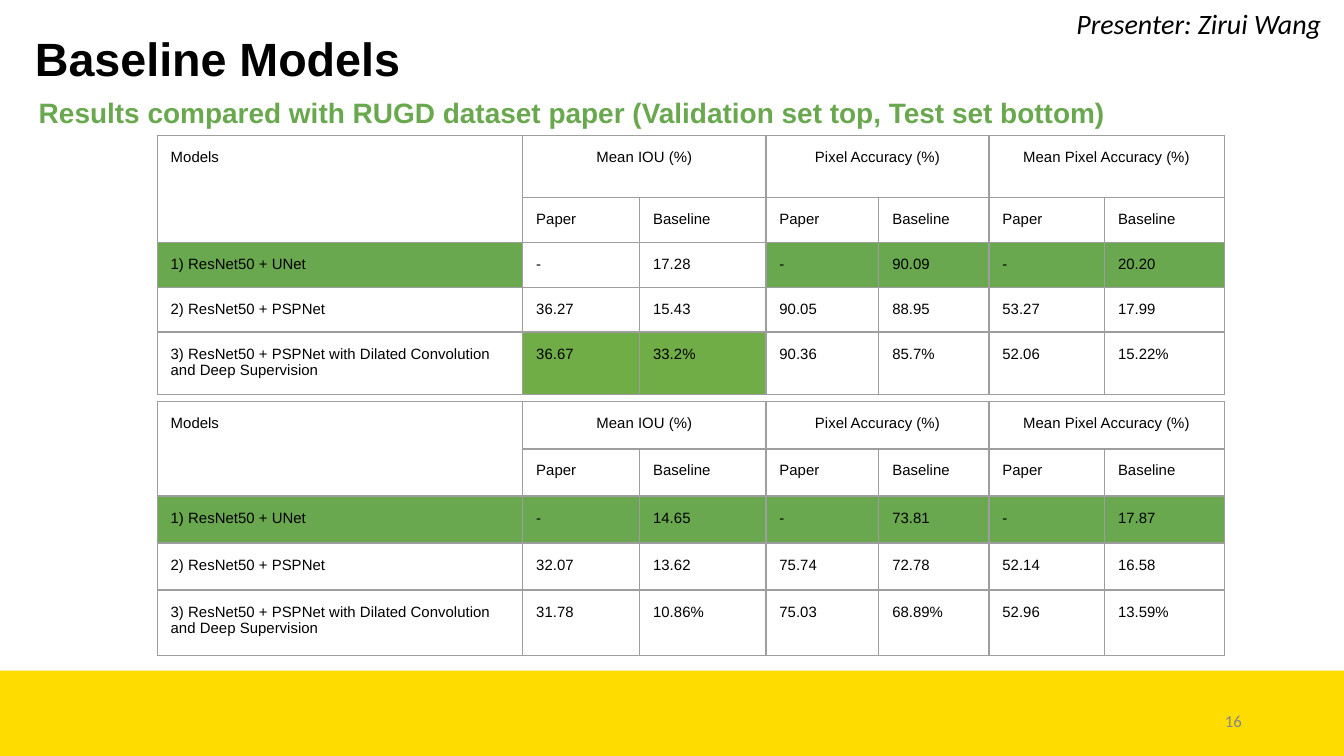
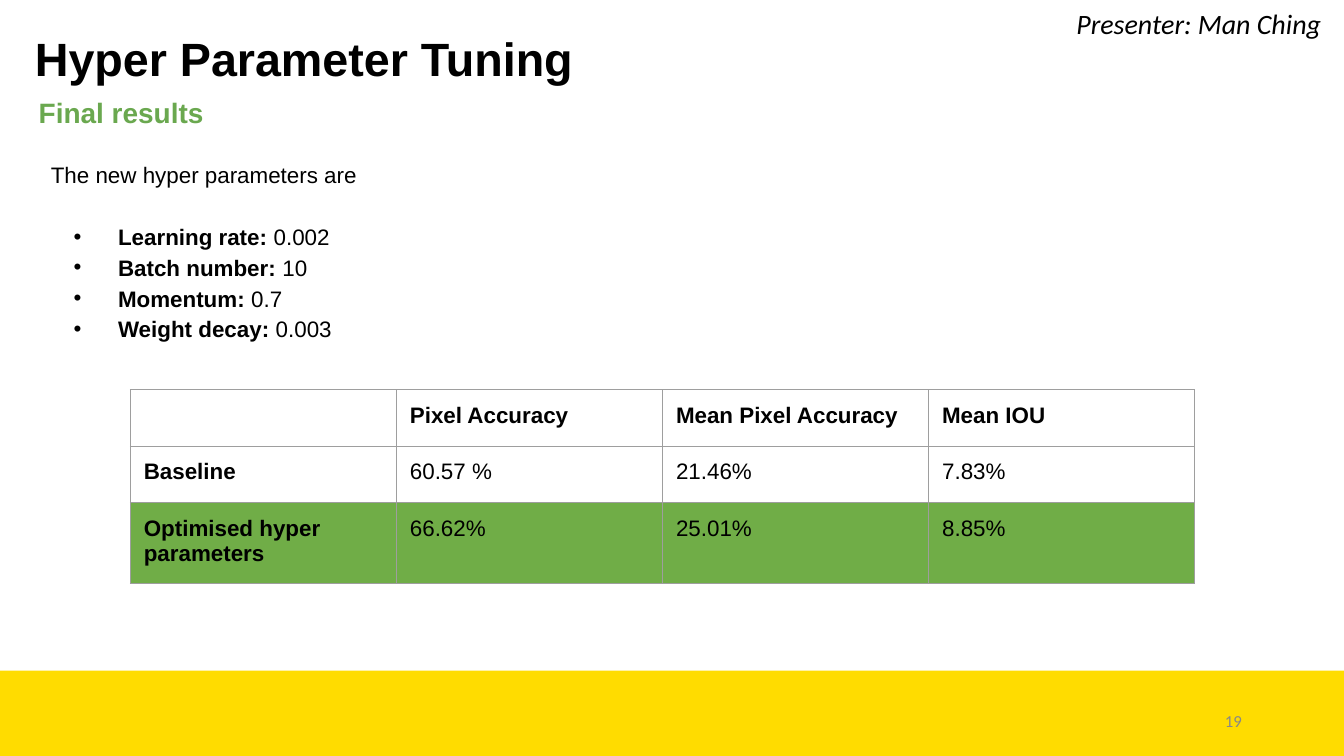
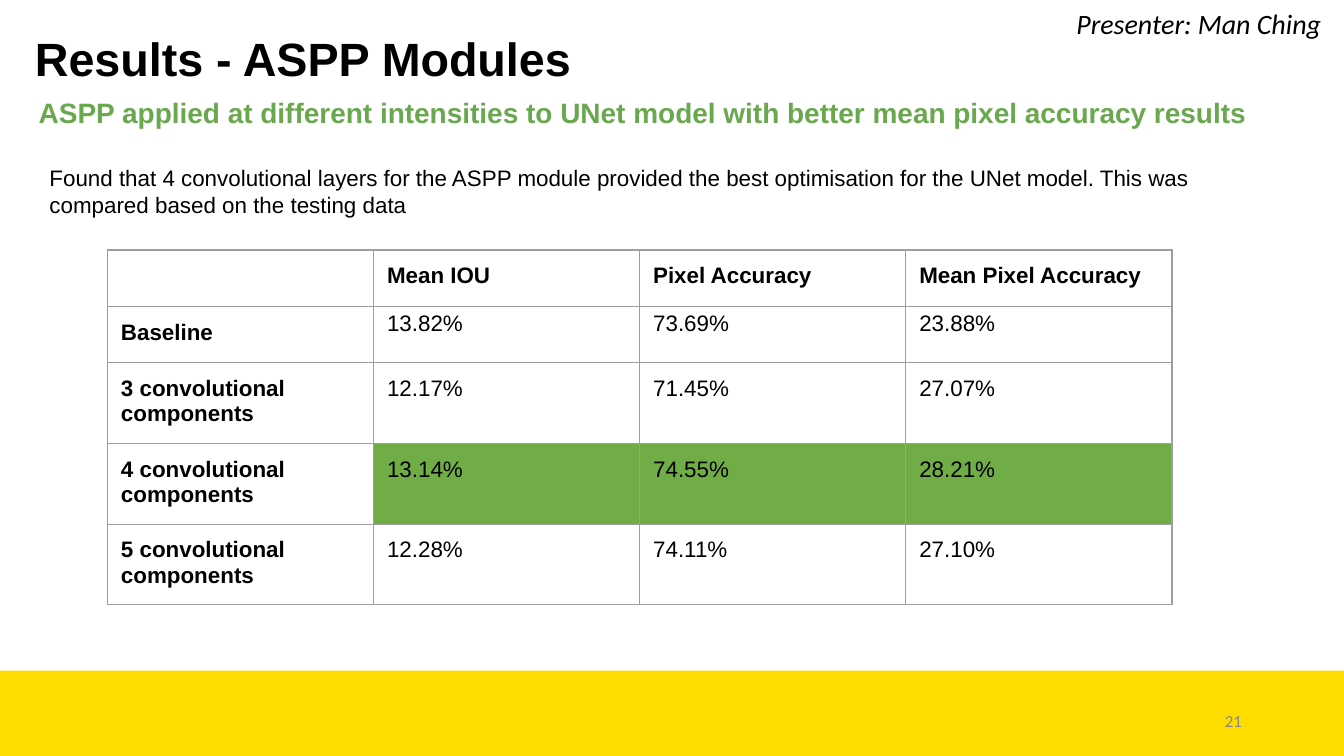
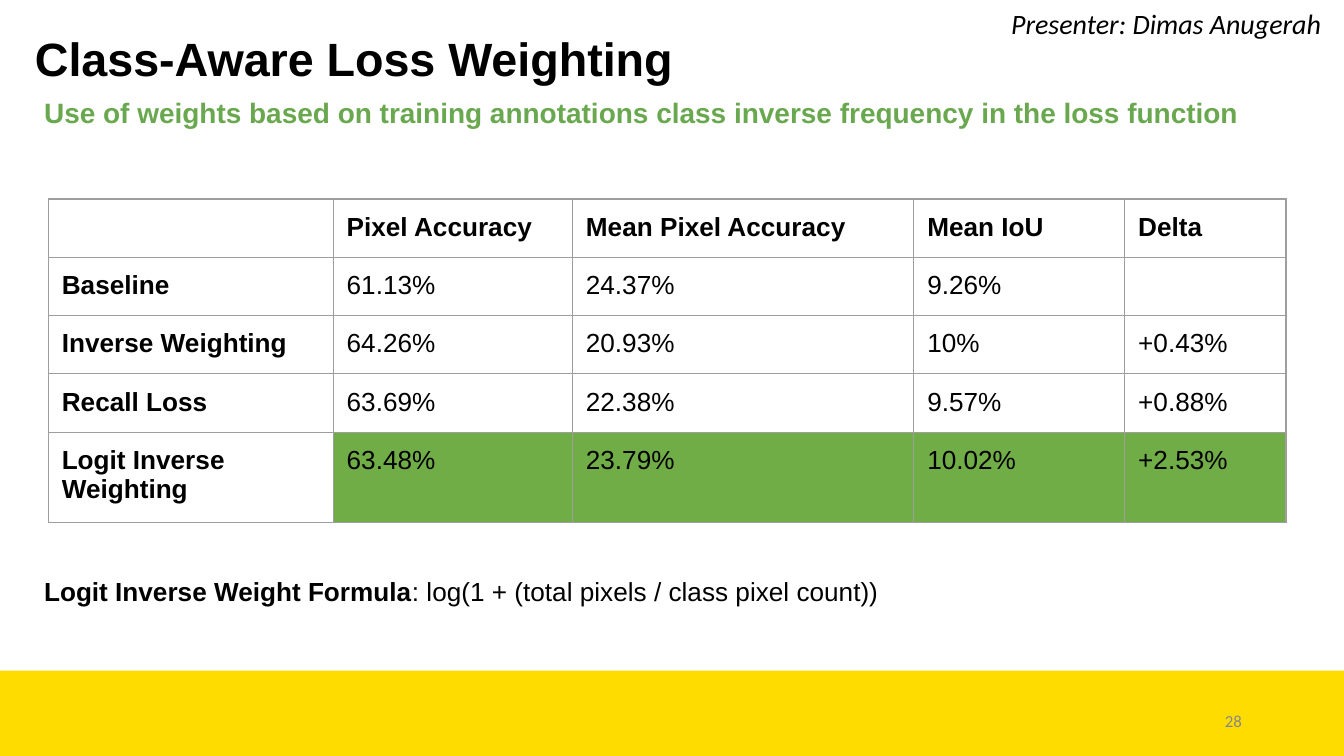
from lxml.etree import SubElement
from pptx import Presentation
from pptx.dml.color import RGBColor
from pptx.enum.shapes import MSO_SHAPE
from pptx.enum.text import MSO_ANCHOR, PP_ALIGN
from pptx.oxml.ns import qn
from pptx.util import Inches, Pt

BLACK = RGBColor(0x00, 0x00, 0x00)
WHITE = RGBColor(0xFF, 0xFF, 0xFF)
YELLOW = RGBColor(0xFF, 0xDC, 0x00)
GREEN = RGBColor(0x6A, 0xA8, 0x4F)
BRIGHT_GREEN = RGBColor(0x70, 0xAD, 0x47)
GRAY = RGBColor(0x88, 0x88, 0x88)
BORDER = RGBColor(0x9E, 0x9E, 0x9E)

WIDE_INSETS = (0.1, 0.1)
TIGHT_INSETS = (0.07, 0.04)

MODELS = [
    "1) ResNet50 + UNet",
    "2) ResNet50 + PSPNet",
    "3) ResNet50 + PSPNet with Dilated Convolution and Deep Supervision",
]
MODEL_HEADER = [
    ["Models", "Mean IOU (%)", "", "Pixel Accuracy (%)", "", "Mean Pixel Accuracy (%)", ""],
    [""] + ["Paper", "Baseline"] * 3,
]
MODEL_COLS = [2.72, 0.87, 0.94, 0.84, 0.82, 0.86, 0.89]
VALIDATION = [
    ["-", "17.28", "-", "90.09", "-", "20.20"],
    ["36.27", "15.43", "90.05", "88.95", "53.27", "17.99"],
    ["36.67", "33.2%", "90.36", "85.7%", "52.06", "15.22%"],
]
TEST = [
    ["-", "14.65", "-", "73.81", "-", "17.87"],
    ["32.07", "13.62", "75.74", "72.78", "52.14", "16.58"],
    ["31.78", "10.86%", "75.03", "68.89%", "52.96", "13.59%"],
]
TUNING = [
    ["", "Pixel Accuracy", "Mean Pixel Accuracy", "Mean IOU"],
    ["Baseline", "60.57 %", "21.46%", "7.83%"],
    ["Optimised hyper parameters", "66.62%", "25.01%", "8.85%"],
]
ASPP = [
    ["", "Mean IOU", "Pixel Accuracy", "Mean Pixel Accuracy"],
    ["Baseline", "13.82%", "73.69%", "23.88%"],
    ["3 convolutional components", "12.17%", "71.45%", "27.07%"],
    ["4 convolutional components", "13.14%", "74.55%", "28.21%"],
    ["5 convolutional components", "12.28%", "74.11%", "27.10%"],
]
WEIGHTING = [
    ["", "Pixel Accuracy", "Mean Pixel Accuracy", "Mean IoU", "Delta"],
    ["Baseline", "61.13%", "24.37%", "9.26%", ""],
    ["Inverse Weighting", "64.26%", "20.93%", "10%", "+0.43%"],
    ["Recall Loss", "63.69%", "22.38%", "9.57%", "+0.88%"],
    ["Logit Inverse Weighting", "63.48%", "23.79%", "10.02%", "+2.53%"],
]
HYPER_PARAMETERS = [
    ("Learning rate: ", "0.002"),
    ("Batch number: ", "10"),
    ("Momentum: ", "0.7"),
    ("Weight decay: ", "0.003"),
]


def style_run(r, size, color=BLACK, font="Arial", bold=False, italic=False):
    r.font.size = Pt(size)
    r.font.name = font
    r.font.color.rgb = color
    r.font.bold = bold
    r.font.italic = italic


def add_text(slide, box, text, size, insets=WIDE_INSETS, align=PP_ALIGN.LEFT,
             anchor=MSO_ANCHOR.TOP, spacing=None, **style):
    tf = slide.shapes.add_textbox(*map(Inches, box)).text_frame
    tf.word_wrap = True
    tf.vertical_anchor = anchor
    tf.margin_left = tf.margin_right = Inches(insets[0])
    tf.margin_top = tf.margin_bottom = Inches(insets[1])
    p = tf.paragraphs[0]
    p.text = text
    p.alignment = align
    p.line_spacing = spacing
    style_run(p.runs[0], size, **style)
    return tf


def add_styled_run(p, text, size, bold=False):
    r = p.add_run()
    r.text = text
    style_run(r, size, bold=bold)


def add_bullet(p):
    pPr = p._p.get_or_add_pPr()
    pPr.set("marL", str(Inches(0.5)))
    pPr.set("indent", str(Inches(-0.33)))
    color = SubElement(pPr, qn("a:buClr"))
    SubElement(color, qn("a:srgbClr"), val=str(BLACK))
    SubElement(pPr, qn("a:buFont"), typeface="Arial")
    SubElement(pPr, qn("a:buChar"), char="•")


def add_borders(cell):
    tcPr = cell._tc.get_or_add_tcPr()
    for side in ("lnL", "lnR", "lnT", "lnB"):
        ln = SubElement(tcPr, qn(f"a:{side}"), w=str(Pt(0.75)))
        fill = SubElement(ln, qn("a:solidFill"))
        SubElement(fill, qn("a:srgbClr"), val=str(BORDER))


def fill_cell(cell, text, size, bold, color):
    cell.margin_left = cell.margin_right = Inches(0.1)
    cell.margin_top = cell.margin_bottom = Inches(0.1)
    add_borders(cell)
    if color is None:
        cell.fill.background()
    else:
        cell.fill.solid()
        cell.fill.fore_color.rgb = color
    p = cell.text_frame.paragraphs[0]
    if text:
        p.text = text
        style_run(p.runs[0], size, bold=bold)
    else:  # keeps an empty cell from stretching its row
        SubElement(p._p, qn("a:endParaRPr"), sz=str(size * 100))


def add_table(slide, left, top, cols, heights, rows, size, highlights, bold_heads=True):
    """Draw a bordered table; highlights maps (row, column) to a fill colour."""
    frame = slide.shapes.add_table(len(rows), len(cols), Inches(left), Inches(top),
                                   Inches(sum(cols)), Inches(sum(heights)))
    table = frame.table
    table.first_row = table.horz_banding = False
    for column, width in zip(table.columns, cols):
        column.width = Inches(width)
    for row, height in zip(table.rows, heights):
        row.height = Inches(height)
    for i, values in enumerate(rows):
        for j, text in enumerate(values):
            bold = bold_heads and (i == 0 or j == 0)
            fill_cell(table.cell(i, j), text, size, bold, highlights.get((i, j)))
    return table


def add_model_table(slide, top, heights, results, highlights):
    rows = MODEL_HEADER + [[model] + values for model, values in zip(MODELS, results)]
    table = add_table(slide, 1.17, top, MODEL_COLS, heights, rows, 8, highlights,
                      bold_heads=False)
    table.cell(0, 0).merge(table.cell(1, 0))
    for j in (1, 3, 5):
        table.cell(0, j).merge(table.cell(0, j + 1))
        table.cell(0, j).text_frame.paragraphs[0].alignment = PP_ALIGN.CENTER


def shade(row, columns, color=BRIGHT_GREEN):
    return {(row, j): color for j in columns}


def add_slide(prs, title, subtitle, presenter, number, subtitle_left=0.19):
    """Add a slide with the yellow band, headings, presenter and page number."""
    slide = prs.slides.add_slide(prs.slide_layouts[6])
    band = slide.shapes.add_shape(MSO_SHAPE.RECTANGLE, 0, Inches(4.99),
                                  prs.slide_width, Inches(0.64))
    band.shadow.inherit = False
    band.fill.solid()
    band.fill.fore_color.rgb = YELLOW
    band.line.fill.background()
    add_text(slide, (0.19, 0.11, 9.54, 0.69), title, 25, TIGHT_INSETS,
             anchor=MSO_ANCHOR.MIDDLE, spacing=0.9, bold=True)
    add_text(slide, (7.06, 5.21, 2.25, 0.3), str(number), 9, TIGHT_INSETS,
             PP_ALIGN.RIGHT, MSO_ANCHOR.MIDDLE, color=GRAY, font="Calibri")
    add_text(slide, (subtitle_left, 0.64, 9.54, 0.43), subtitle, 15,
             spacing=0.9, color=GREEN, bold=True)
    add_text(slide, (5.37, -0.05, 4.56, 0.3), f"Presenter: {presenter}", 15,
             align=PP_ALIGN.RIGHT, font="Calibri", italic=True)
    return slide


def add_baseline_slide(prs):
    slide = add_slide(prs, "Baseline Models",
                      "Results compared with RUGD dataset paper (Validation set top, Test set bottom)",
                      "Zirui Wang", 16)
    best = shade(2, (0, 3, 4, 5, 6), GREEN) | shade(4, (1, 2))
    add_model_table(slide, 1.01, [0.46, 0.33, 0.33, 0.33, 0.46], VALIDATION, best)
    add_model_table(slide, 2.99, [0.35] * 4 + [0.49], TEST, shade(2, range(7), GREEN))


def add_tuning_slide(prs):
    slide = add_slide(prs, "Hyper Parameter Tuning", "Final results", "Man Ching", 19)
    tf = add_text(slide, (0.28, 1.07, 3.68, 1.57), "The new hyper parameters are", 12,
                  spacing=1.15)
    for i, (name, value) in enumerate(HYPER_PARAMETERS):
        p = tf.add_paragraph()
        p.line_spacing = 1.15
        if i == 0:
            p.space_before = Pt(16.5)
        add_bullet(p)
        add_styled_run(p, name, 12, bold=True)
        add_styled_run(p, value, 12)
    add_table(slide, 0.97, 2.9, [1.98] * 4, [0.42, 0.42, 0.6], TUNING, 12,
              shade(2, range(4)))


def add_aspp_slide(prs):
    slide = add_slide(prs, "Results - ASPP Modules",
                      "ASPP applied at different intensities to UNet model with better "
                      "mean pixel accuracy results", "Man Ching", 21)
    add_text(slide, (0.27, 1.12, 8.97, 0.77),
             "Found that 4 convolutional layers for the ASPP module provided the best "
             "optimisation for the UNet model. This was compared based on the testing data", 12)
    table = add_table(slide, 0.8, 1.86, [1.98] * 4, [0.42] * 2 + [0.6] * 3, ASPP, 12,
                      shade(3, range(1, 4)))
    for j in range(1, 4):
        baseline = table.cell(1, j)
        baseline.margin_top = Inches(0.01)
        baseline.text_frame.paragraphs[0].line_spacing = 1.15


def add_weighting_slide(prs):
    slide = add_slide(prs, "Class-Aware Loss Weighting",
                      "Use of weights based on training annotations class inverse "
                      "frequency in the loss function", "Dimas Anugerah", 28, 0.23)
    best = shade(4, [0], WHITE) | shade(4, range(1, 5))
    add_table(slide, 0.36, 1.48, [2.12, 1.78, 2.54, 1.57, 1.2], [0.43] * 4 + [0.67],
              WEIGHTING, 14, best)
    tf = add_text(slide, (0.23, 4.18, 9.2, 0.44), "Logit Inverse Weight Formula", 14,
                  bold=True)
    add_styled_run(tf.paragraphs[0], ": log(1 + (total pixels / class pixel count))", 14)


def main():
    prs = Presentation()
    prs.slide_width = Inches(10)
    prs.slide_height = prs.slide_width * 9 // 16
    add_baseline_slide(prs)
    add_tuning_slide(prs)
    add_aspp_slide(prs)
    add_weighting_slide(prs)
    prs.save("out.pptx")


if __name__ == "__main__":
    main()
